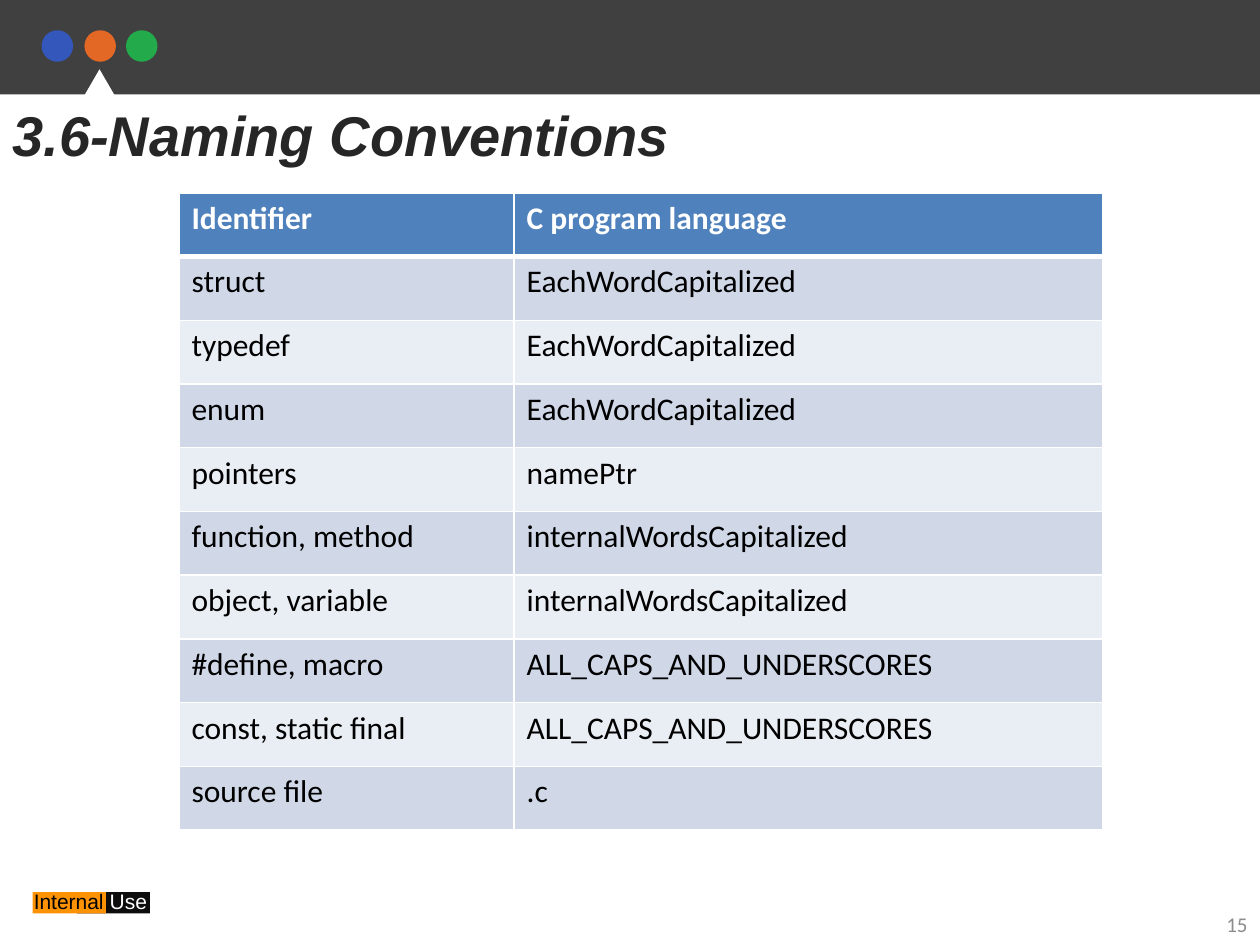
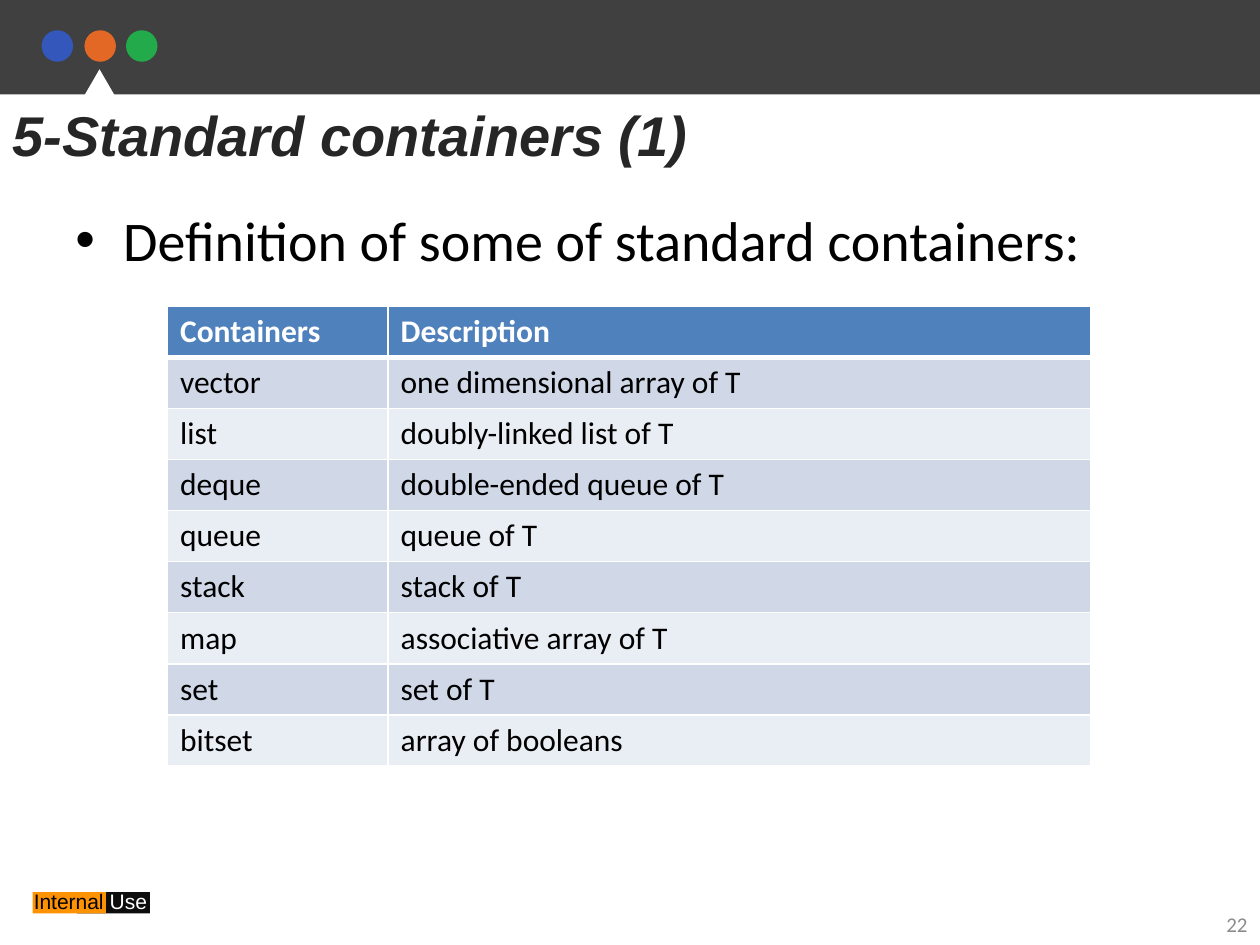
from dataclasses import dataclass

from lxml.etree import SubElement
from pptx import Presentation
from pptx.dml.color import RGBColor
from pptx.enum.shapes import MSO_SHAPE
from pptx.enum.text import MSO_ANCHOR, PP_ALIGN
from pptx.oxml.ns import qn
from pptx.util import Inches, Pt


@dataclass(frozen=True)
class Theme:
    """Colours, fonts and type sizes of the deck."""
    band: str = "404040"
    dots: tuple = ("3357BB", "E46825", "23AA4A")
    title: str = "262626"
    text: str = "000000"
    white: str = "FFFFFF"
    page_number: str = "8C8C8C"
    label_dark: str = "0D0D0D"
    label_orange: str = "FD9203"
    table_header: str = "4F81BD"
    table_bands: tuple = ("D0D8E8", "E9EDF4")
    heading_font: str = "Arial"
    body_font: str = "Calibri"
    large: int = 32
    table_size: int = 18
    small: int = 12
    rule: int = 1
    header_rule: int = 3


THEME = Theme()

SLIDES = [
    {
        "title": "3.6-Naming Conventions",
        "number": "15",
        "bullet": None,
        "table": {
            "position": (1.42, 1.53),
            "columns": (2.66, 4.67),
            "height": 5.06,
            "rows": [
                ("Identifier", "C program language"),
                ("struct", "EachWordCapitalized"),
                ("typedef", "EachWordCapitalized"),
                ("enum", "EachWordCapitalized"),
                ("pointers", "namePtr"),
                ("function, method", "internalWordsCapitalized"),
                ("object, variable", "internalWordsCapitalized"),
                ("#define, macro", "ALL_CAPS_AND_UNDERSCORES"),
                ("const, static final", "ALL_CAPS_AND_UNDERSCORES"),
                ("source file", ".c"),
            ],
        },
    },
    {
        "title": "5-Standard containers (1)",
        "number": "22",
        "bullet": "Definition of some of standard containers:",
        "table": {
            "position": (1.33, 2.43),
            "columns": (1.75, 5.58),
            "height": 3.65,
            "rows": [
                ("Containers", "Description"),
                ("vector", "one dimensional array of T"),
                ("list", "doubly-linked list of T"),
                ("deque", "double-ended queue of T"),
                ("queue", "queue of T"),
                ("stack", "stack of T"),
                ("map", "associative array of T"),
                ("set", "set of T"),
                ("bitset", "array of booleans"),
            ],
        },
    },
]


def color(value):
    """Turn a hex string into a colour."""
    return RGBColor.from_string(value)


def set_font(font, size, name, fill, bold=False, italic=False):
    """Set every property of a font."""
    font.size, font.name = Pt(size), name
    font.bold, font.italic = bold, italic
    font.color.rgb = color(fill)


def add_block(slide, kind, box, fill):
    """Add a plain filled shape without outline or shadow."""
    shape = slide.shapes.add_shape(kind, *map(Inches, box))
    shape.shadow.inherit = False
    shape.fill.solid()
    shape.fill.fore_color.rgb = color(fill)
    shape.line.fill.background()


def add_text(slide, box, text):
    """Add a wrapping text box and return its frame and paragraph."""
    frame = slide.shapes.add_textbox(*map(Inches, box)).text_frame
    frame.word_wrap = True
    paragraph = frame.paragraphs[0]
    paragraph.text = text
    return frame, paragraph


def add_frame(slide, number):
    """Draw the top band, the footer label and the page number."""
    add_block(slide, MSO_SHAPE.RECTANGLE, (0, 0, 10, 0.75), THEME.band)
    for index, fill in enumerate(THEME.dots):
        left = round((index + 1) / 3, 2)
        add_block(slide, MSO_SHAPE.OVAL, (left, 0.24, 0.25, 0.25), fill)
    add_block(slide, MSO_SHAPE.ISOSCELES_TRIANGLE, (0.5, 0.55, 0.58, 0.5), THEME.white)

    for left, fill in ((0.61, THEME.label_dark), (0.26, THEME.label_orange)):
        add_block(slide, MSO_SHAPE.RECTANGLE, (left, 7.08, 0.58, 0.17), fill)
    _, paragraph = add_text(slide, (0.17, 7, 1.5, 0.3), "")
    for word, fill in (("Internal ", THEME.text), ("Use", THEME.white)):
        run = paragraph.add_run()
        run.text = word
        set_font(run.font, THEME.small, THEME.heading_font, fill)

    frame, paragraph = add_text(slide, (7.67, 7.17, 2.33, 0.33), number)
    frame.vertical_anchor = MSO_ANCHOR.MIDDLE
    paragraph.alignment = PP_ALIGN.RIGHT
    set_font(paragraph.font, THEME.small, THEME.body_font, THEME.page_number)


def add_title(slide, text):
    """Add the slide title below the band."""
    _, paragraph = add_text(slide, (0, 0.75, 8.58, 0.64), text)
    set_font(paragraph.font, THEME.large, THEME.heading_font, THEME.title,
             bold=True, italic=True)


def add_bullet(slide, text):
    """Add a bulleted line with a hanging indent."""
    _, paragraph = add_text(slide, (0.5, 1.58, 9, 1.17), text)
    set_font(paragraph.font, THEME.large, THEME.body_font, THEME.text)
    paragraph.space_before = Pt(0.2 * THEME.large)
    properties = paragraph._p.get_or_add_pPr()
    indent = Inches(0.38)
    properties.set("marL", str(indent))
    properties.set("indent", str(-indent))
    SubElement(properties, qn("a:buFont"), typeface=THEME.heading_font)
    SubElement(properties, qn("a:buChar"), char="•")


def set_borders(cell, top, bottom):
    """Draw white borders around a cell; call before filling it."""
    properties = cell._tc.get_or_add_tcPr()
    widths = {"lnL": THEME.rule, "lnR": THEME.rule, "lnT": top, "lnB": bottom}
    for side, width in widths.items():
        line = SubElement(properties, qn(f"a:{side}"), w=str(Pt(width)))
        fill = SubElement(line, qn("a:solidFill"))
        SubElement(fill, qn("a:srgbClr"), val=THEME.white)


def add_banded_table(slide, position, columns, height, rows):
    """Add a table with a header row and alternating bands."""
    table = slide.shapes.add_table(
        len(rows), len(columns), *map(Inches, (*position, sum(columns), height))
    ).table
    for column, width in zip(table.columns, columns):
        column.width = Inches(width)
    for row_index, values in enumerate(rows):
        header = row_index == 0
        fill = THEME.table_header if header else THEME.table_bands[(row_index - 1) % 2]
        top = THEME.header_rule if row_index == 1 else THEME.rule
        bottom = THEME.header_rule if header else THEME.rule
        for column_index, value in enumerate(values):
            cell = table.cell(row_index, column_index)
            set_borders(cell, top, bottom)
            cell.fill.solid()
            cell.fill.fore_color.rgb = color(fill)
            cell.text = value
            set_font(cell.text_frame.paragraphs[0].font, THEME.table_size,
                     THEME.body_font, THEME.white if header else THEME.text, bold=header)


def build():
    """Build and save the presentation."""
    presentation = Presentation()
    presentation.slide_width, presentation.slide_height = Inches(10), Inches(7.5)
    for content in SLIDES:
        slide = presentation.slides.add_slide(presentation.slide_layouts[6])
        add_frame(slide, content["number"])
        if content["bullet"]:
            add_bullet(slide, content["bullet"])
        add_banded_table(slide, **content["table"])
        add_title(slide, content["title"])
    presentation.save("out.pptx")


build()
